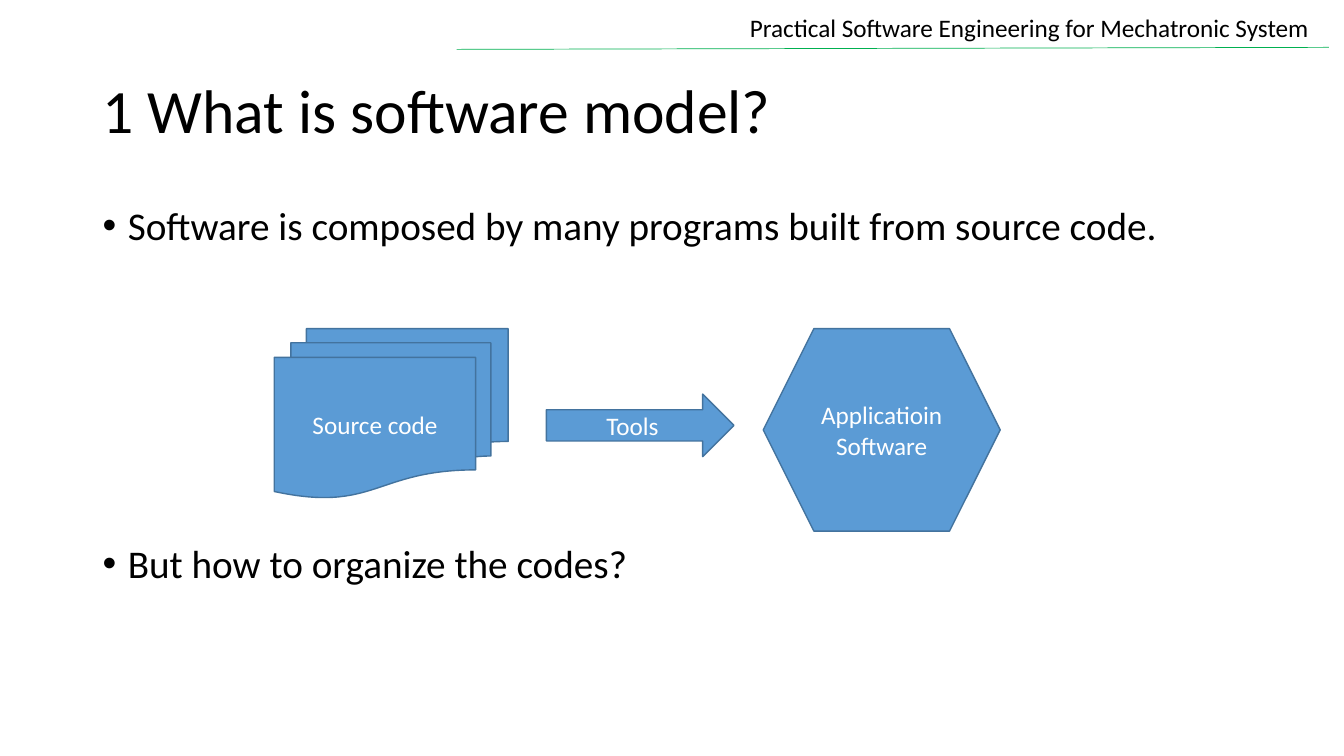
from lxml import etree
from pptx import Presentation
from pptx import util as u
from pptx.dml.color import RGBColor
from pptx.enum import shapes, text
from pptx.oxml.ns import qn

PX = 9144
COLORS = {"ink": "000000", "white": "FFFFFF", "fill": "5B9BD5", "edge": "43739E", "rule": "00B050"}


def px(*values):
    return [u.Emu(v * PX) for v in values]


def write(tf, lines, size=18, color="ink", align=text.PP_ALIGN.LEFT,
          anchor=text.MSO_ANCHOR.TOP, spacing=1.0, before=(), bullet=None):
    tf.word_wrap = True
    tf.vertical_anchor = anchor
    for i, line in enumerate(lines):
        p = tf.paragraphs[0] if i == 0 else tf.add_paragraph()
        p.alignment = align
        p.line_spacing = spacing
        if before:
            p.space_before = u.Pt(before[i])
        if bullet:
            pPr = p._p.get_or_add_pPr()
            pPr.set("marL", str(25 * PX))
            pPr.set("indent", str(-25 * PX))
            etree.SubElement(pPr, qn("a:buFont")).set("typeface", "Arial")
            etree.SubElement(pPr, qn("a:buChar")).set("char", bullet)
        r = p.add_run()
        r.text = line
        r.font.name = "Calibri"
        r.font.size = u.Pt(size)
        r.font.color.rgb = RGBColor.from_string(COLORS[color])


prs = Presentation()
prs.slide_width, prs.slide_height = px(1333, 750)
s = prs.slides.add_slide(prs.slide_layouts[6])

header = s.shapes.add_textbox(*px(488, 7, 820, 40))
write(header.text_frame, ["Practical Software Engineering for Mechatronic System"],
      align=text.PP_ALIGN.RIGHT)

rule = s.shapes.add_connector(shapes.MSO_CONNECTOR.STRAIGHT, *px(453, 49, 1318, 47))
rule.line.color.rgb = RGBColor.from_string(COLORS["rule"])
rule.line.width = u.Pt(0.5)
etree.SubElement(rule._element.spPr, qn("a:effectLst"))

title = s.shapes.add_textbox(*px(92, 40, 1150, 145))
write(title.text_frame, ["1 What is software model?"], size=44,
      anchor=text.MSO_ANCHOR.MIDDLE, spacing=0.9)

body = s.shapes.add_textbox(*px(92, 200, 1150, 476))
write(body.text_frame,
      ["Software is composed by many programs built from source code.",
       "But how to organize the codes?"],
      size=28, spacing=0.9, before=(10, 211), bullet="•")

KIND = shapes.MSO_SHAPE
for kind, box, lines in [
    (KIND.FLOWCHART_MULTIDOCUMENT, (272, 326, 232, 168), ["Source code"]),
    (KIND.HEXAGON, (757, 326, 235, 201), ["Applicatioin", "Software"]),
    (KIND.RIGHT_ARROW, (542, 391, 186, 62), ["Tools"]),
]:
    sp = s.shapes.add_shape(kind, *px(*box))
    sp.shadow.inherit = False
    sp.fill.solid()
    sp.fill.fore_color.rgb = RGBColor.from_string(COLORS["fill"])
    sp.line.color.rgb = RGBColor.from_string(COLORS["edge"])
    sp.line.width = u.Pt(1)
    write(sp.text_frame, lines, color="white", align=text.PP_ALIGN.CENTER,
          anchor=text.MSO_ANCHOR.MIDDLE)

prs.save("out.pptx")
